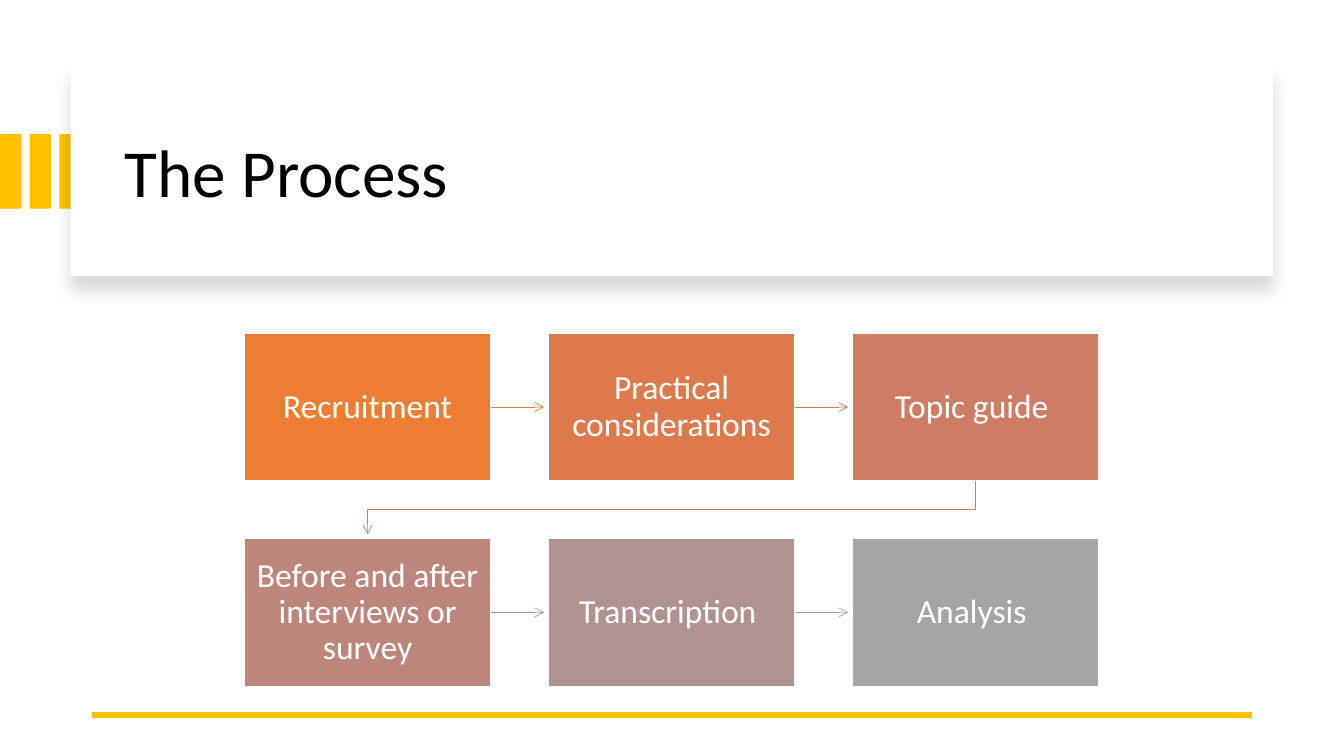
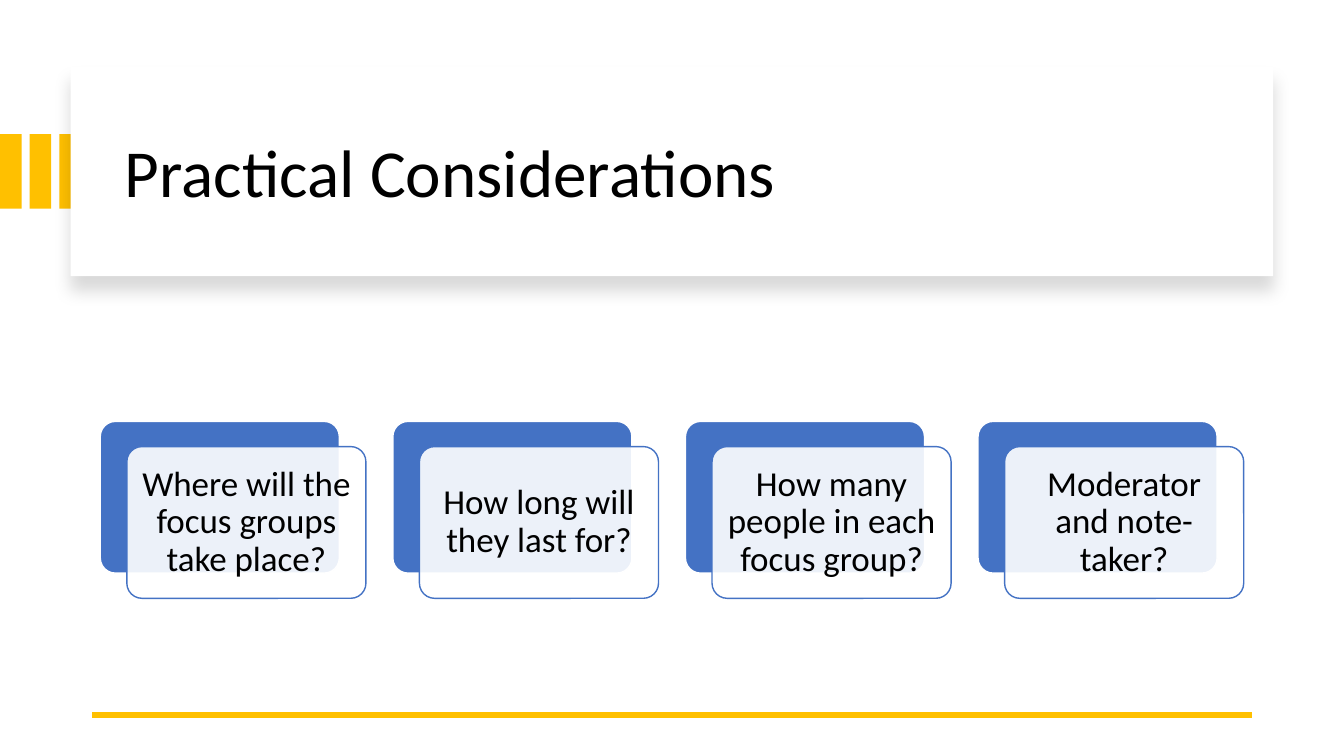
from dataclasses import dataclass
from typing import Optional

import pptx
import pptx.dml.color
import pptx.enum.shapes
import pptx.enum.text
import pptx.oxml
import pptx.oxml.ns
import pptx.util

Pt = pptx.util.Pt
RGBColor = pptx.dml.color.RGBColor
Preset = pptx.enum.shapes.MSO_SHAPE
Straight = pptx.enum.shapes.MSO_CONNECTOR.STRAIGHT
Align = pptx.enum.text.PP_ALIGN
qn = pptx.oxml.ns.qn

FONT = "Calibri"
BLACK = RGBColor(0x00, 0x00, 0x00)
WHITE = RGBColor(0xFF, 0xFF, 0xFF)
GOLD = RGBColor(0xFF, 0xC0, 0x00)
BLUE = RGBColor(0x44, 0x72, 0xC4)
ORANGE = RGBColor(0xED, 0x7D, 0x31)
GRAY = RGBColor(0xA5, 0xA5, 0xA5)

NAMESPACE = 'xmlns:a="http://schemas.openxmlformats.org/drawingml/2006/main"'
PANEL_SHADOW = (
    f'<a:effectLst {NAMESPACE}><a:outerShdw blurRad="{Pt(11)}" dist="{Pt(10)}" '
    'dir="5400000" algn="t" rotWithShape="0"><a:srgbClr val="000000">'
    '<a:alpha val="15000"/></a:srgbClr></a:outerShdw></a:effectLst>'
)

COLUMNS = 3
STEP_LEFT, STEP_TOP = 174.5, 237.9
STEP_WIDTH, STEP_HEIGHT = 176.2, 105.7
STEP_PITCH_X, STEP_PITCH_Y = 217.1, 146.7
ARROW_GAP = 2.9

CARD_LEFT, CARD_TOP = 71.6, 301
CARD_WIDTH, CARD_HEIGHT = 170.8, 108.4
CARD_PITCH = 209
CARD_OFFSET_X, CARD_OFFSET_Y = 19, 18


@dataclass(frozen=True)
class Box:
    left: float
    top: float
    width: float
    height: float


@dataclass(frozen=True)
class Step:
    text: str
    fill: RGBColor
    arrow: Optional[RGBColor] = None


STEPS = [
    Step("Recruitment", ORANGE, ORANGE),
    Step("Practical considerations", RGBColor(0xDC, 0x7A, 0x4B), RGBColor(0xD8, 0x7A, 0x51)),
    Step("Topic guide ", RGBColor(0xCC, 0x7D, 0x64), RGBColor(0xC4, 0x81, 0x70)),
    Step("Before and after interviews or survey", RGBColor(0xBD, 0x86, 0x7B), RGBColor(0xB4, 0x90, 0x8B)),
    Step("Transcription ", RGBColor(0xB0, 0x93, 0x91), GRAY),
    Step("Analysis ", GRAY),
]

QUESTIONS = [
    "Where will the focus groups take place?",
    "How long will they last for?",
    "How many people in each focus group?",
    "Moderator and note-taker?",
]


def set_text(shape, text: str, *, size: float, color: RGBColor,
             alignment=Align.CENTER, inset_x: float = 7.2, inset_y: float = 7.2) -> None:
    frame = shape.text_frame
    frame.word_wrap = True
    frame.auto_size = pptx.enum.text.MSO_AUTO_SIZE.NONE
    frame.vertical_anchor = pptx.enum.text.MSO_ANCHOR.MIDDLE
    frame.margin_left = frame.margin_right = Pt(inset_x)
    frame.margin_top = frame.margin_bottom = Pt(inset_y)
    paragraph = frame.paragraphs[0]
    paragraph.alignment = alignment
    paragraph.line_spacing = 0.9
    run = paragraph.add_run()
    run.text = text
    run.font.name = FONT
    run.font.size = Pt(size)
    run.font.color.rgb = color


def add_block(slide, box: Box, fill: RGBColor, *, line: Optional[RGBColor] = None,
              preset=Preset.RECTANGLE):
    shape = slide.shapes.add_shape(
        preset, Pt(box.left), Pt(box.top), Pt(box.width), Pt(box.height))
    shape.shadow.inherit = False
    shape.fill.solid()
    shape.fill.fore_color.rgb = fill
    if line is None:
        shape.line.fill.background()
    else:
        shape.line.color.rgb = line
        shape.line.width = Pt(1)
    return shape


def add_line(slide, start: tuple[int, int], end: tuple[int, int],
             color: RGBColor, width: float):
    connector = slide.shapes.add_connector(Straight, *start, *end)
    connector.line.color.rgb = color
    connector.line.width = Pt(width)
    connector.element.spPr.append(pptx.oxml.parse_xml(f"<a:effectLst {NAMESPACE}/>"))
    return connector


def add_arrowhead(shape) -> None:
    outline = shape.element.spPr.find(qn("a:ln"))
    outline.append(pptx.oxml.parse_xml(f'<a:tailEnd {NAMESPACE} type="arrow"/>'))


def add_straight_arrow(slide, source, target, color: RGBColor) -> None:
    middle = source.top + source.height // 2
    start = (source.left + source.width, middle)
    end = (target.left - Pt(ARROW_GAP), middle)
    connector = add_line(slide, start, end, color, 0.5)
    connector.begin_connect(source, 3)
    add_arrowhead(connector)


def add_return_arrow(slide, source, target, color: RGBColor) -> None:
    start_x = source.left + source.width // 2
    end_x = target.left + target.width // 2
    start_y = source.top + source.height
    turn_y = (start_y + target.top) // 2
    builder = slide.shapes.build_freeform(start_x, start_y)
    builder.add_line_segments(
        [(start_x, turn_y), (end_x, turn_y), (end_x, target.top - Pt(ARROW_GAP))],
        close=False)
    shape = builder.convert_to_shape()
    shape.shadow.inherit = False
    shape.fill.background()
    shape.line.color.rgb = color
    shape.line.width = Pt(0.5)
    add_arrowhead(shape)


def add_titled_slide(presentation, text: str):
    slide = presentation.slides.add_slide(presentation.slide_layouts[5])
    for index in range(3):
        add_block(slide, Box(21.2 * index, 95.8, 15.4, 53.2), GOLD)
    panel = add_block(slide, Box(50.4, 48, 859, 149.2), WHITE)
    properties = panel.element.spPr
    properties.remove(properties.find(qn("a:effectLst")))
    properties.append(pptx.oxml.parse_xml(PANEL_SHADOW))
    title = slide.shapes.title
    title.left, title.top, title.width, title.height = Pt(82), Pt(64), Pt(801.4), Pt(122.4)
    set_text(title, text, size=48, color=BLACK, alignment=Align.LEFT, inset_y=3.6)
    panel.element.addnext(title.element)
    add_line(slide, (Pt(894.2), Pt(510.5)), (Pt(66), Pt(510.5)), GOLD, 4.5)
    return slide


def build_process_slide(presentation) -> None:
    slide = add_titled_slide(presentation, "The Process")
    shapes = []
    for index, step in enumerate(STEPS):
        row, column = divmod(index, COLUMNS)
        box = Box(STEP_LEFT + column * STEP_PITCH_X, STEP_TOP + row * STEP_PITCH_Y,
                  STEP_WIDTH, STEP_HEIGHT)
        shape = add_block(slide, box, step.fill, line=WHITE)
        set_text(shape, step.text, size=24, color=WHITE, inset_x=8.6, inset_y=9.1)
        shapes.append(shape)
    for step, source, target in zip(STEPS, shapes, shapes[1:]):
        draw_arrow = add_straight_arrow if source.top == target.top else add_return_arrow
        draw_arrow(slide, source, target, step.arrow)


def build_considerations_slide(presentation) -> None:
    slide = add_titled_slide(presentation, "Practical Considerations")
    for index, question in enumerate(QUESTIONS):
        left = CARD_LEFT + index * CARD_PITCH
        back = add_block(slide, Box(left, CARD_TOP, CARD_WIDTH, CARD_HEIGHT), BLUE,
                         line=WHITE, preset=Preset.ROUNDED_RECTANGLE)
        front = add_block(
            slide, Box(left + CARD_OFFSET_X, CARD_TOP + CARD_OFFSET_Y, CARD_WIDTH, CARD_HEIGHT),
            WHITE, line=BLUE, preset=Preset.ROUNDED_RECTANGLE)
        back.adjustments[0] = front.adjustments[0] = 0.1
        color = front.element.spPr.find(qn("a:solidFill")).find(qn("a:srgbClr"))
        color.append(pptx.oxml.parse_xml(f'<a:alpha {NAMESPACE} val="90000"/>'))
        set_text(front, question, size=25, color=BLACK)


def main() -> None:
    presentation = pptx.Presentation()
    presentation.slide_width = Pt(960)
    presentation.slide_height = Pt(540)
    build_process_slide(presentation)
    build_considerations_slide(presentation)
    presentation.save("out.pptx")


if __name__ == "__main__":
    main()
